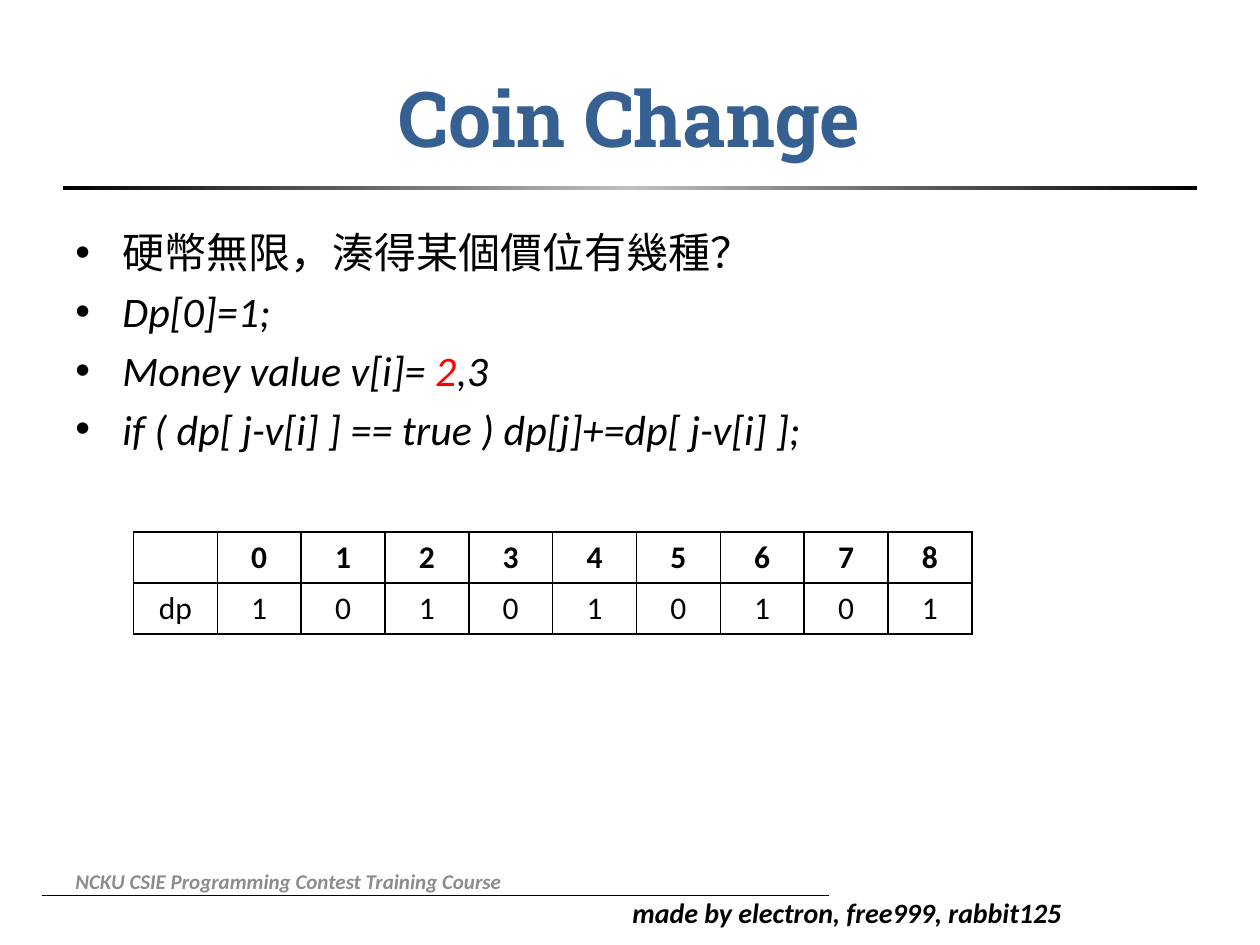
from copy import deepcopy
from lxml import etree
from pptx import Presentation
from pptx.dml.color import RGBColor
from pptx.enum.shapes import MSO_CONNECTOR, MSO_SHAPE
from pptx.enum.text import MSO_ANCHOR, PP_ALIGN
from pptx.oxml.ns import qn
from pptx.util import Cm, Pt

LINE, RECT = MSO_CONNECTOR.STRAIGHT, MSO_SHAPE.RECTANGLE
TOP, MID = MSO_ANCHOR.TOP, MSO_ANCHOR.MIDDLE
LEFT, CENTER = PP_ALIGN.LEFT, PP_ALIGN.CENTER

THEME = {
    "head": "Roboto Slab", "body": "Calibri",
    "ink": "000000", "blue": "376092", "red": "FF0000",
    "gray": "8C8C8C", "silver": "C0C0C0",
    "title": 44, "text": 24, "cell": 18, "credit": 16, "foot": 12,
}

TITLE = "Coin Change"
CREDIT = "made by electron, free999, rabbit125"
FOOT = "NCKU CSIE Programming Contest Training Course"
# Each bullet: italic or not, then (text, colour) runs
BULLETS = [
    (False, [("硬幣無限，湊得某個價位有幾種？", "ink")]),
    (True, [("Dp[0]=1;", "ink")]),
    (True, [("Money value v[i]= ", "ink"), ("2", "red"), (",3", "ink")]),
    (True, [("if ( dp[ j-v[i] ] == true ) dp[j]+=dp[ j-v[i] ];", "ink")]),
]
ROWS = [
    ["", *range(9)],
    ["dp", 1, 0, 1, 0, 1, 0, 1, 0, 1],
]


def color(key):
    return RGBColor.from_string(THEME[key])


def style(para, size, face="body", ink="ink", bold=False, italic=False):
    font = para.font
    font.name, font.size = THEME[face], Pt(THEME[size])
    font.bold, font.italic = bold, italic
    if ink:
        font.color.rgb = color(ink)


def add_box(slide, area, anchor=TOP):
    frame = slide.shapes.add_textbox(*map(Cm, area)).text_frame
    frame.word_wrap, frame.vertical_anchor = True, anchor
    return frame


def add_label(slide, area, text, size, anchor=TOP, align=LEFT, **look):
    para = add_box(slide, area, anchor).paragraphs[0]
    para.text, para.alignment = text, align
    style(para, size, **look)


def add_bar(slide):
    """Draw the title rule, dark at both ends and light in the middle."""
    bar = slide.shapes.add_shape(RECT, Cm(1.27), Cm(3.76), Cm(22.86), Cm(0.08))
    bar.shadow.inherit = False
    bar.line.fill.background()
    bar.fill.gradient()
    bar.fill.gradient_angle = 0
    stops = bar.element.spPr.find(qn("a:gradFill")).find(qn("a:gsLst"))
    stops.insert(1, deepcopy(stops[0]))
    marks = [(0, "ink"), (0.5, "silver"), (1, "ink")]
    for stop, (place, key) in zip(bar.fill.gradient_stops, marks):
        stop.position, stop.color.rgb = place, color(key)


def add_list(slide):
    frame = add_box(slide, (1.27, 4.45, 22.86, 12.57))
    for num, (italic, runs) in enumerate(BULLETS):
        para = frame.add_paragraph() if num else frame.paragraphs[0]
        props = para._p.get_or_add_pPr()
        props.set("marL", str(Cm(0.95)))
        props.set("indent", str(Cm(-0.95)))
        etree.SubElement(props, qn("a:buFont"), typeface="Arial")
        etree.SubElement(props, qn("a:buChar"), char="•")
        if num:
            para.space_before = Pt(4.8)
        style(para, "text", ink=None, italic=italic)
        for text, key in runs:
            run = para.add_run()
            run.text, run.font.color.rgb = text, color(key)


def add_border(cell):
    props = cell._tc.get_or_add_tcPr()
    for num, side in enumerate(("lnL", "lnR", "lnT", "lnB")):
        edge = etree.Element(qn("a:" + side), w=str(Pt(1)))
        fill = etree.SubElement(edge, qn("a:solidFill"))
        etree.SubElement(fill, qn("a:srgbClr"), val=THEME["ink"])
        props.insert(num, edge)


def add_grid(slide):
    wide, high = Cm(1.69), Cm(1.03)
    cols = len(ROWS[0])
    grid = slide.shapes.add_table(len(ROWS), cols, Cm(2.69), Cm(10.72),
                                  wide * cols, high * len(ROWS)).table
    grid.first_row = grid.horz_banding = False
    for col in grid.columns:
        col.width = wide
    for y, row in enumerate(ROWS):
        grid.rows[y].height = high
        for x, value in enumerate(row):
            cell = grid.cell(y, x)
            cell.fill.background()
            add_border(cell)
            para = cell.text_frame.paragraphs[0]
            para.text, para.alignment = str(value), CENTER
            style(para, "cell", bold=y == 0)


def add_rule(slide):
    rule = slide.shapes.add_connector(LINE, Cm(0.84), Cm(18.06),
                                      Cm(16.71), Cm(18.06))
    rule.line.width, rule.line.color.rgb = Pt(0.5), color("ink")
    etree.SubElement(rule.element.spPr, qn("a:effectLst"))


def main():
    deck = Presentation()
    deck.slide_width, deck.slide_height = Cm(25.4), Cm(19.05)
    slide = deck.slides.add_slide(deck.slide_layouts[6])
    add_rule(slide)
    add_label(slide, (12.5, 17.93, 9.8, 0.94), CREDIT, "credit",
              bold=True, italic=True)
    add_bar(slide)
    add_label(slide, (1.27, 0.76, 22.86, 3.18), TITLE, "title", MID, CENTER,
              face="head", ink="blue", bold=True)
    add_list(slide)
    add_label(slide, (1.27, 17.25, 12.83, 1.02), FOOT, "foot", MID,
              ink="gray", bold=True, italic=True)
    add_grid(slide)
    deck.save("out.pptx")


if __name__ == "__main__":
    main()
